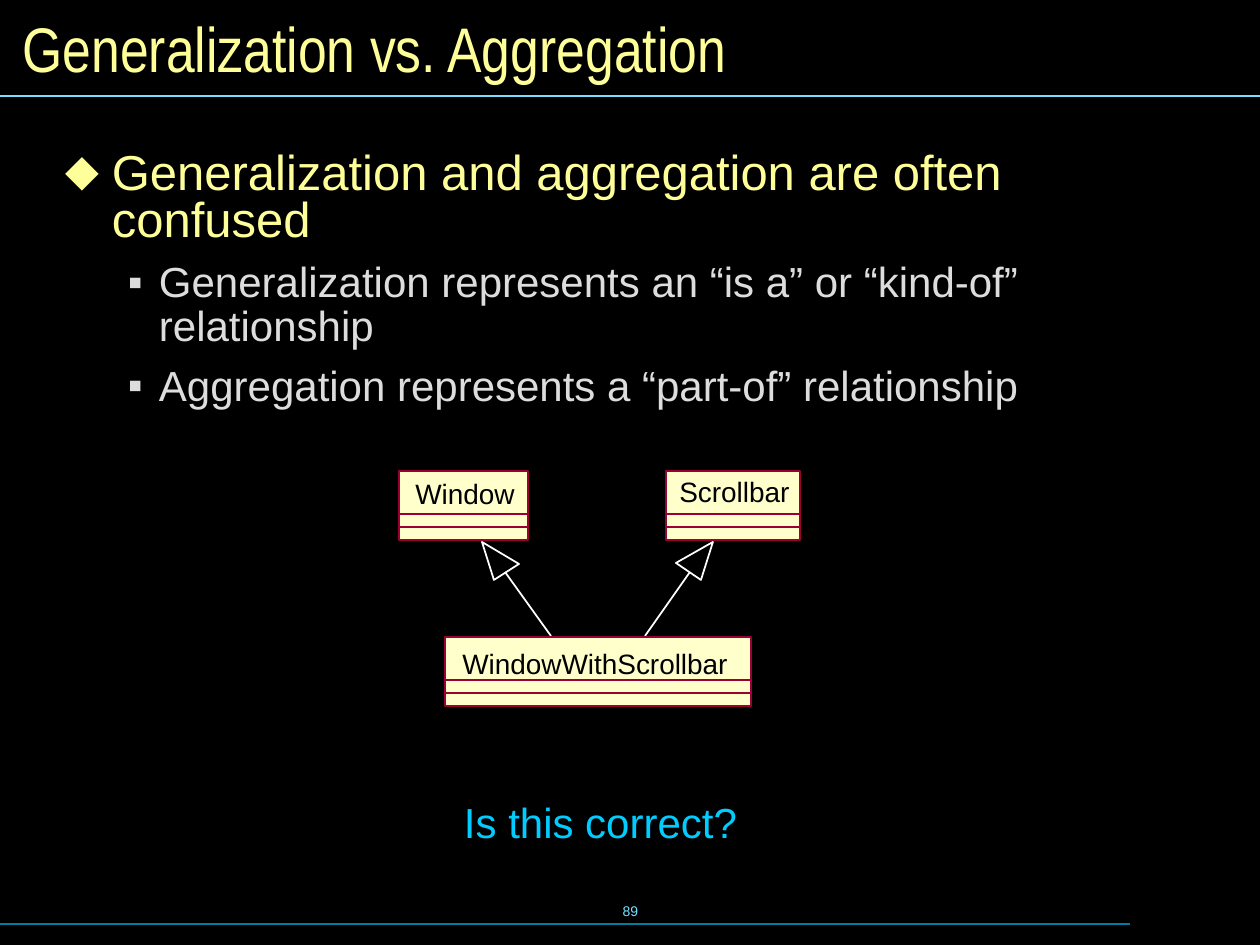
from lxml import etree
from pptx import Presentation
from pptx.dml.color import RGBColor
from pptx.enum.shapes import MSO_CONNECTOR, MSO_SHAPE
from pptx.enum.text import MSO_ANCHOR, MSO_AUTO_SIZE, PP_ALIGN
from pptx.oxml.ns import qn
from pptx.util import Emu, Pt

STRAIGHT = MSO_CONNECTOR.STRAIGHT
RECTANGLE = MSO_SHAPE.RECTANGLE
LEFT, CENTER = PP_ALIGN.LEFT, PP_ALIGN.CENTER
TOP, MIDDLE = MSO_ANCHOR.TOP, MSO_ANCHOR.MIDDLE
NO_AUTOFIT = MSO_AUTO_SIZE.NONE

BLACK = RGBColor(0x00, 0x00, 0x00)
WHITE = RGBColor(0xFF, 0xFF, 0xFF)
YELLOW = RGBColor(0xFF, 0xFF, 0x99)
GRAY = RGBColor(0xDD, 0xDD, 0xDD)
CYAN = RGBColor(0x00, 0xCC, 0xFF)
PALE_BLUE = RGBColor(0x73, 0xE1, 0xFF)
TEAL = RGBColor(0x00, 0x7E, 0x9F)
CREAM = RGBColor(0xFF, 0xFF, 0xCC)
MAROON = RGBColor(0x99, 0x00, 0x33)

PX_PER_INCH = 126
SLIDE_WIDTH, SLIDE_HEIGHT = 1260, 945

# Level, text
BULLETS = [
    (0, "Generalization and aggregation are often confused"),
    (1, "Generalization represents an “is a” or “kind-of” relationship"),
    (1, "Aggregation represents a “part-of” relationship"),
]
# Per level: size, colour, bullet, left margin, hanging, line spacing, space before
LEVELS = [
    (28, YELLOW, "⬥", 47, 47, 0.8, 10.5),
    (24, GRAY, "▪", 94, 31, 0.87, 9),
]
# Name, box left, top, width, then label left, top, width
CLASSES = [
    ("Window", 399, 471, 129, 413, 476, 104),
    ("Scrollbar", 666, 471, 134, 677, 475, 115),
    ("WindowWithScrollbar", 445, 637, 306, 460, 646, 270),
]
CLASS_HEIGHT = 69
COMPARTMENTS = (43, 56)
# Triangle corners, then the start and end of the stem
GENERALIZATIONS = [
    ([(482, 542), (494, 580), (519, 564)], (505, 572), (551, 636)),
    ([(713, 542), (701, 580), (676, 563)], (690, 572), (645, 636)),
]


def px(length):
    return Emu(round(length * 914400 / PX_PER_INCH))


def place(shape, left, top, width, height):
    shape.left, shape.top = px(left), px(top)
    shape.width, shape.height = px(width), px(height)


def set_margins(text_frame, horizontal, vertical):
    text_frame.margin_left = text_frame.margin_right = px(horizontal)
    text_frame.margin_top = text_frame.margin_bottom = px(vertical)


def format_runs(paragraph, size, color, font="Arial"):
    for run in paragraph.runs:
        run.font.size = Pt(size)
        run.font.name = font
        run.font.color.rgb = color


def add_label(slide, text, box, size, color, alignment=LEFT, anchor=TOP, margins=(0, 0)):
    shape = slide.shapes.add_textbox(*map(px, box))
    text_frame = shape.text_frame
    text_frame.word_wrap = False
    text_frame.vertical_anchor = anchor
    set_margins(text_frame, *margins)
    text_frame.text = text
    paragraph = text_frame.paragraphs[0]
    paragraph.alignment = alignment
    format_runs(paragraph, size, color)


def add_line(slide, start, end, color, width=1):
    line = slide.shapes.add_connector(STRAIGHT, *map(px, (*start, *end)))
    line.line.color.rgb = color
    line.line.width = Pt(width)
    etree.SubElement(line._element.spPr, qn("a:effectLst"))


def add_bullet(paragraph, character, color, margin, hanging):
    properties = paragraph._p.get_or_add_pPr()
    properties.set("marL", str(px(margin)))
    properties.set("indent", str(-px(hanging)))
    bullet_color = etree.SubElement(properties, qn("a:buClr"))
    etree.SubElement(bullet_color, qn("a:srgbClr"), val=str(color))
    etree.SubElement(properties, qn("a:buFont"), typeface="Arial")
    etree.SubElement(properties, qn("a:buChar"), char=character)


def fill_title(slide, text):
    title = slide.shapes.title
    place(title, 10, 11, 1240, 73)
    text_frame = title.text_frame
    text_frame.auto_size = NO_AUTOFIT
    text_frame.vertical_anchor = MIDDLE
    text_frame.text = text
    paragraph = text_frame.paragraphs[0]
    paragraph.alignment = LEFT
    format_runs(paragraph, 36, YELLOW, "Arial Narrow")


def fill_body(slide):
    body = slide.placeholders[1]
    place(body, 50, 145, 1142, 431)
    text_frame = body.text_frame
    text_frame.auto_size = NO_AUTOFIT
    set_margins(text_frame, 15, 8)
    text_frame.text = "\n".join(text for _, text in BULLETS)
    for index, (level, _) in enumerate(BULLETS):
        size, color, character, margin, hanging, spacing, before = LEVELS[level]
        paragraph = text_frame.paragraphs[index]
        paragraph.level = level
        add_bullet(paragraph, character, color, margin, hanging)
        paragraph.line_spacing = spacing
        paragraph.space_before = Pt(before if index else 0)
        format_runs(paragraph, size, color)


def add_class(slide, name, left, top, width, label_left, label_top, label_width):
    box = slide.shapes.add_shape(RECTANGLE, *map(px, (left, top, width, CLASS_HEIGHT)))
    box.shadow.inherit = False
    box.fill.solid()
    box.fill.fore_color.rgb = CREAM
    box.line.color.rgb = MAROON
    box.line.width = Pt(1)
    for offset in COMPARTMENTS:
        add_line(slide, (left, top + offset), (left + width, top + offset), MAROON)
    add_label(slide, name, (label_left, label_top, label_width, 34), 16, BLACK, CENTER)


def add_generalization(slide, corners, start, end):
    points = [(px(x), px(y)) for x, y in corners]
    builder = slide.shapes.build_freeform(*points[0])
    builder.add_line_segments(points[1:], close=True)
    triangle = builder.convert_to_shape()
    triangle.shadow.inherit = False
    triangle.fill.background()
    triangle.line.color.rgb = WHITE
    triangle.line.width = Pt(1)
    add_line(slide, start, end, WHITE)


def main():
    presentation = Presentation()
    presentation.slide_width = px(SLIDE_WIDTH)
    presentation.slide_height = px(SLIDE_HEIGHT)
    slide = presentation.slides.add_slide(presentation.slide_layouts[1])
    slide.background.fill.solid()
    slide.background.fill.fore_color.rgb = BLACK

    # Page frame
    add_label(slide, "89", (431, 879, 399, 63), 8, PALE_BLUE, CENTER, MIDDLE, (13, 6))
    add_line(slide, (0, 924), (1130, 924), TEAL, 0.75)
    add_line(slide, (0, 96), (SLIDE_WIDTH, 96), PALE_BLUE, 0.75)

    # Title and bullets
    fill_title(slide, "Generalization vs. Aggregation")
    fill_body(slide)

    # Class diagram
    for generalization in GENERALIZATIONS:
        add_generalization(slide, *generalization)
    for class_box in CLASSES:
        add_class(slide, *class_box)

    # Closing question, with room to stay on one line
    add_label(slide, "Is this correct?", (451, 791, 304, 63), 24, CYAN, margins=(13, 6))

    presentation.save("out.pptx")


if __name__ == "__main__":
    main()
